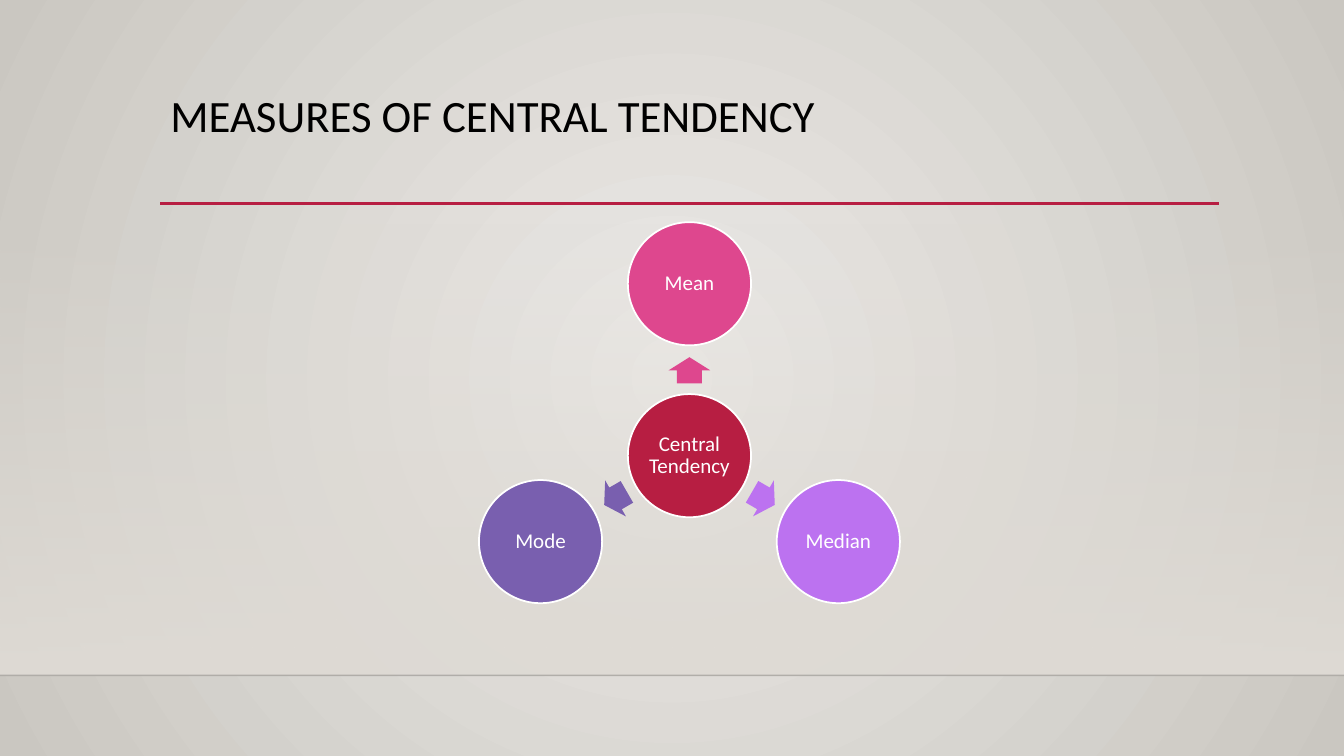
from dataclasses import dataclass
from math import cos, radians, sin

from lxml import etree
from pptx import Presentation
from pptx import util as u
from pptx.dml.color import RGBColor
from pptx.enum import shapes, text
from pptx.oxml import ns


@dataclass(frozen=True)
class Theme:
    font: str = "Calibri"
    title_size: float = 32
    label_size: float = 15
    black: str = "000000"
    white: str = "FFFFFF"
    glow: str = "ECEAE7"
    edge: str = "CAC7C1"
    floor: str = "DFDBD5"
    crimson: str = "B71E42"
    pink: str = "DE478E"
    violet: str = "BC72F0"
    purple: str = "795FAF"


class SlideBuilder:
    def __init__(self, slide, theme):
        self.slide = slide
        self.theme = theme

    def set_alpha(self, color_element, percent):
        alpha = etree.SubElement(color_element, ns.qn("a:alpha"))
        alpha.set("val", str(percent * 1000))

    def set_gradient(self, fill, start, end):
        fill.gradient()
        for stop, color, position in zip(fill.gradient_stops, (start, end), (0, 1)):
            stop.color.rgb = RGBColor.from_string(color)
            stop.position = position

    def background(self):
        self.set_gradient(self.slide.background.fill, self.theme.glow, self.theme.edge)
        gradient = next(self.slide.element.iter(ns.qn("a:gradFill")))
        gradient.remove(gradient.find(ns.qn("a:lin")))
        circle = etree.SubElement(gradient, ns.qn("a:path"))
        circle.set("path", "circle")
        center = etree.SubElement(circle, ns.qn("a:fillToRect"))
        for side in "ltrb":
            center.set(side, "50000")

    def shape(self, kind, left, top, width, height):
        shape = self.slide.shapes.add_shape(
            kind, u.Pt(left), u.Pt(top), u.Pt(width), u.Pt(height))
        shape.shadow.inherit = False
        shape.line.fill.background()
        return shape

    def fading_band(self, left, top, width, height):
        band = self.shape(shapes.MSO_SHAPE.RECTANGLE, left, top, width, height)
        self.set_gradient(band.fill, self.theme.floor, self.theme.floor)
        band.fill.gradient_angle = 270
        self.set_alpha(next(band.element.iter(ns.qn("a:srgbClr"))), 0)

    def rule(self, left, right, y, color, weight, opacity=100):
        line = self.slide.shapes.add_connector(
            shapes.MSO_CONNECTOR.STRAIGHT, u.Pt(left), u.Pt(y), u.Pt(right), u.Pt(y))
        line.line.color.rgb = RGBColor.from_string(color)
        line.line.width = u.Pt(weight)
        if opacity < 100:
            self.set_alpha(next(line.element.iter(ns.qn("a:srgbClr"))), opacity)
        etree.SubElement(line.element.spPr, ns.qn("a:effectLst"))

    def add_words(self, frame, words, size, color, alignment):
        paragraph = frame.paragraphs[0]
        paragraph.alignment = alignment
        paragraph.line_spacing = 0.9
        run = paragraph.add_run()
        run.text = words
        run.font.name = self.theme.font
        run.font.size = u.Pt(size)
        run.font.color.rgb = RGBColor.from_string(color)

    def title(self, words, left, top, width, height):
        title = self.slide.shapes.title
        title.left, title.top = u.Pt(left), u.Pt(top)
        title.width, title.height = u.Pt(width), u.Pt(height)
        frame = title.text_frame
        frame.auto_size = text.MSO_AUTO_SIZE.NONE
        frame.vertical_anchor = text.MSO_ANCHOR.TOP
        self.add_words(frame, words, self.theme.title_size, self.theme.black,
                       text.PP_ALIGN.LEFT)

    def circle(self, words, x, y, diameter, color):
        circle = self.shape(shapes.MSO_SHAPE.OVAL, x - diameter / 2, y - diameter / 2,
                            diameter, diameter)
        circle.fill.solid()
        circle.fill.fore_color.rgb = RGBColor.from_string(color)
        circle.line.color.rgb = RGBColor.from_string(self.theme.white)
        circle.line.width = u.Pt(1.25)
        frame = circle.text_frame
        frame.word_wrap = True
        frame.vertical_anchor = text.MSO_ANCHOR.MIDDLE
        frame.margin_left = frame.margin_right = u.Pt(1.5)
        frame.margin_top = frame.margin_bottom = u.Pt(1.5)
        self.add_words(frame, words, self.theme.label_size, self.theme.white,
                       text.PP_ALIGN.CENTER)

    def arrow(self, x, y, width, height, angle, color):
        arrow = self.shape(shapes.MSO_SHAPE.RIGHT_ARROW, x - width / 2, y - height / 2,
                           width, height)
        arrow.rotation = angle
        arrow.adjustments[0] = 0.6
        arrow.adjustments[1] = 0.5
        arrow.fill.solid()
        arrow.fill.fore_color.rgb = RGBColor.from_string(color)

    def radial_diagram(self, hub, measures, x, y):
        diameter, orbit, arrow_orbit = 88, 122.8, 61
        self.circle(hub, x, y, diameter, self.theme.crimson)
        for index, (words, color) in enumerate(measures):
            angle = (270 + index * 360 / len(measures)) % 360
            across, down = cos(radians(angle)), sin(radians(angle))
            self.arrow(x + arrow_orbit * across, y + arrow_orbit * down,
                       18.7, 29.7, angle, color)
            self.circle(words, x + orbit * across, y + orbit * down, diameter, color)


def main():
    theme = Theme()
    presentation = Presentation()
    presentation.slide_width = u.Pt(960)
    presentation.slide_height = u.Pt(540)
    slide = presentation.slides.add_slide(presentation.slide_layouts.get_by_name("Title Only"))

    builder = SlideBuilder(slide, theme)
    builder.background()
    builder.fading_band(0, 159, 960, 323.4)
    builder.rule(0, 960, 482.4, theme.black, 1, opacity=20)
    builder.rule(114.5, 871, 145.3, theme.crimson, 2.5)
    builder.title("MEASURES OF CENTRAL TENDENCY", 114.5, 63.4, 756, 82.6)
    measures = [("Mean", theme.pink), ("Median", theme.violet), ("Mode", theme.purple)]
    builder.radial_diagram("Central Tendency", measures, 492.5, 325.5)
    presentation.save("out.pptx")


if __name__ == "__main__":
    main()
